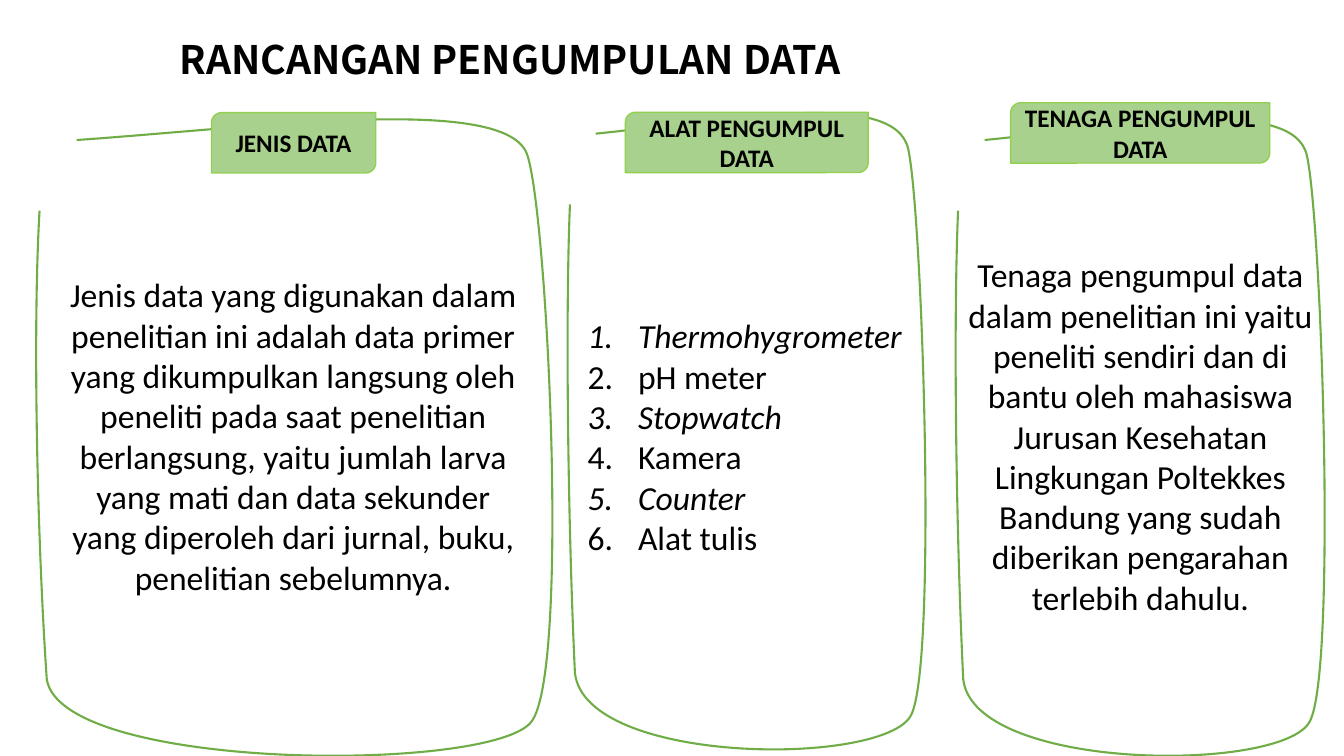
from lxml import etree
from pptx import Presentation
from pptx.dml.color import RGBColor
from pptx.enum import shapes, text
from pptx.oxml import ns
from pptx.util import Cm, Pt

COLORS = {"text": "000000", "frame": "70AD47", "label": "A9D18E", "label_line": "92D050"}
BODY_FONT = "Calibri"
TITLE_FONT = "Noto Sans CJK SC"
LABEL_HEIGHT = 1.52

# Frame outline in thousandths of its box: a start, then (control, control, end) per curve
FRAME_SCALE = 1000
FRAME_START = (78, 33)
FRAME_CURVES = [
    ((434, 13), (914, -40), (951, 57)),
    ((990, 153), (1033, 866), (959, 946)),
    ((885, 1027), (50, 1025), (20, 880)),
    ((2, 668), (-8, 335), (6, 144)),
]

# Boxes are (left, top, width, height) in cm; label and body offsets count from the panel
PANELS = [
    {
        "box": (0.92, 3, 13.01, 16.05),
        "label": ("JENIS DATA", 4.41, -0.16, 4.14),
        "body_box": (0.49, 3.79, 11.96, 8.46),
        "body": "Jenis data yang digunakan dalam penelitian ini adalah data primer yang "
                "dikumpulkan langsung oleh peneliti pada saat penelitian berlangsung, yaitu "
                "jumlah larva yang mati dan data sekunder yang diperoleh dari jurnal, buku, "
                "penelitian sebelumnya.",
    },
    {
        "box": (14.31, 2.84, 9.02, 16.05),
        "label": ("ALAT PENGUMPUL DATA", 1.45, -0.01, 6.12),
        "body_box": (0.25, 4.98, 8.52, 6.4),
        "body": ["Thermohygrometer", "pH meter", "Stopwatch", "Kamera", "Counter", "Alat tulis"],
    },
    {
        "box": (24.09, 3, 9.3, 16.05),
        "label": ("TENAGA PENGUMPUL DATA", 1.38, -0.41, 6.53),
        "body_box": (0, 3.28, 9.3, 9.5),
        "body": "Tenaga pengumpul data dalam penelitian ini yaitu peneliti sendiri dan di "
                "bantu oleh mahasiswa Jurusan Kesehatan Lingkungan Poltekkes Bandung yang "
                "sudah diberikan pengarahan terlebih dahulu.",
    },
]
FOREIGN_WORDS = {"Thermohygrometer", "Stopwatch", "Counter"}


def rgb(name):
    return RGBColor.from_string(COLORS[name])


def format_run(r, size, font=BODY_FONT, bold=False, italic=False):
    r.font.name, r.font.size = font, Pt(size)
    r.font.bold, r.font.italic = bold, italic
    r.font.color.rgb = rgb("text")


def add_text_box(s, box):
    tf = s.shapes.add_textbox(*map(Cm, box)).text_frame
    tf.word_wrap = True
    tf.auto_size = text.MSO_AUTO_SIZE.SHAPE_TO_FIT_TEXT
    return tf


def add_title(s, box):
    tf = add_text_box(s, box)
    tf.text = "RANCANGAN PENGUMPULAN DATA"
    format_run(tf.paragraphs[0].runs[0], 28, TITLE_FONT, bold=True)


def curve_outline(sp):
    """Turn the straight segments of the freeform into the frame's curves."""
    outline = next(sp._element.iter(ns.qn("a:path")))
    outline.set("w", str(FRAME_SCALE))
    outline.set("h", str(FRAME_SCALE))
    for segment in list(outline):
        outline.remove(segment)
    steps = [("a:moveTo", [FRAME_START])]
    steps += [("a:cubicBezTo", curve) for curve in FRAME_CURVES]
    for tag, points in steps:
        segment = etree.SubElement(outline, ns.qn(tag))
        for x, y in points:
            etree.SubElement(segment, ns.qn("a:pt"), x=str(x), y=str(y))


def add_frame(s, box):
    builder = s.shapes.build_freeform(*FRAME_START)
    builder.add_line_segments([curve[-1] for curve in FRAME_CURVES], close=False)
    sp = builder.convert_to_shape()
    sp.left, sp.top, sp.width, sp.height = map(Cm, box)
    curve_outline(sp)
    sp.shadow.inherit = False
    sp.fill.background()
    sp.line.color.rgb = rgb("frame")
    sp.line.width = Pt(1.5)


def add_label(s, wording, left, top, width):
    sp = s.shapes.add_shape(shapes.MSO_SHAPE.ROUND_2_DIAG_RECTANGLE,
                            Cm(left), Cm(top), Cm(width), Cm(LABEL_HEIGHT))
    sp.shadow.inherit = False
    sp.fill.solid()
    sp.fill.fore_color.rgb = rgb("label")
    sp.line.color.rgb = rgb("label_line")
    sp.line.width = Pt(1)
    tf = sp.text_frame
    tf.text = wording
    tf.vertical_anchor = text.MSO_ANCHOR.MIDDLE
    p = tf.paragraphs[0]
    p.alignment = text.PP_ALIGN.CENTER
    format_run(p.runs[0], 18, bold=True)


def number_paragraph(p):
    pPr = p._p.get_or_add_pPr()
    pPr.set("marL", str(Cm(1.27)))
    pPr.set("indent", str(-Cm(1.27)))
    etree.SubElement(pPr, ns.qn("a:buAutoNum"), type="arabicPeriod")


def add_body(s, box, body):
    """A string becomes a centred paragraph, a list becomes numbered items."""
    numbered = isinstance(body, list)
    tf = add_text_box(s, box)
    tf.text = "\n".join(body) if numbered else body
    for p in tf.paragraphs:
        if numbered:
            number_paragraph(p)
        else:
            p.alignment = text.PP_ALIGN.CENTER
        format_run(p.runs[0], 24, italic=p.text in FOREIGN_WORDS)


def add_panel(s, panel):
    left, top = panel["box"][:2]
    add_frame(s, panel["box"])
    dx, dy, width, height = panel["body_box"]
    add_body(s, (left + dx, top + dy, width, height), panel["body"])
    wording, dx, dy, width = panel["label"]
    add_label(s, wording, left + dx, top + dy, width)


def main():
    prs = Presentation()
    prs.slide_width, prs.slide_height = Cm(33.87), Cm(19.05)
    s = prs.slides.add_slide(prs.slide_layouts[6])
    add_title(s, (4.28, 0.76, 21.11, 2.64))
    for panel in PANELS:
        add_panel(s, panel)
    prs.save("out.pptx")


if __name__ == "__main__":
    main()
